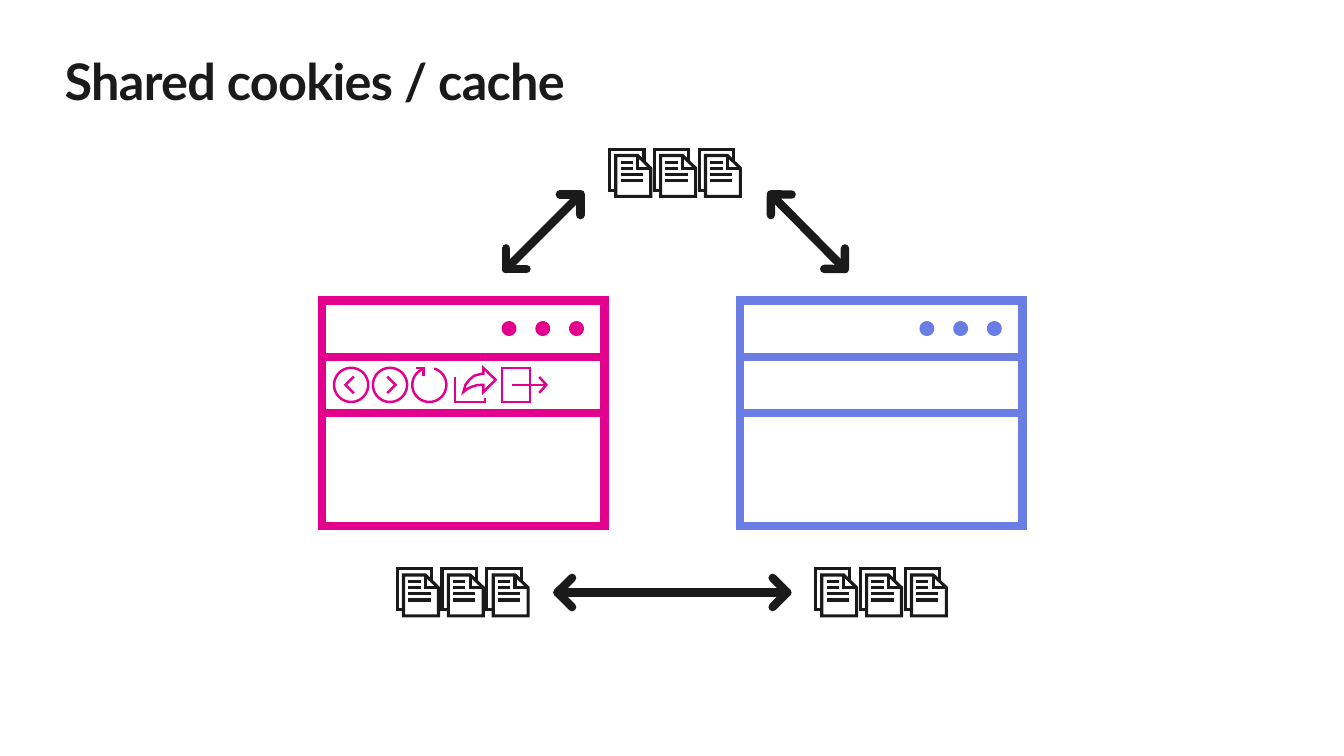
from math import atan2, cos, pi, radians, sin

from lxml.etree import SubElement
from pptx import Presentation
from pptx.dml.color import RGBColor
from pptx.enum.shapes import MSO_CONNECTOR
from pptx.enum.text import MSO_AUTO_SIZE
from pptx.oxml.ns import qn
from pptx.util import Cm, Pt

# Content: all lengths in centimetres
TITLE = "Shared cookies / cache"
INK, PINK, BLUE = "1A1A1A", "E3008C", "697DE4"
BROWSERS = [(8.12, PINK), (18.65, BLUE)]
TOP, WIDE, HIGH, BAR = 7.57, 7.12, 5.69, 1.42
STACKS = [(15.36, 3.76), (10.01, 14.33), (20.55, 14.33)]
PAGES, PAGE_STEP = 3, 1.13
ARROWS = [
    ((12.75, 6.78), (14.63, 4.9)),
    ((21.29, 6.78), (19.43, 4.9)),
    ((14.05, 14.93), (19.84, 14.93)),
]
ARM = 0.52


def arc(x, y, r, start=0, end=360):
    """Points along a circle, clockwise, angles in degrees."""
    turns = [radians(start + (end - start) * i / 48) for i in range(49)]
    return [(x + r * cos(t), y + r * sin(t)) for t in turns]


# Each drawing is a list of (points, closed), relative to its own origin
DOC = [
    ([(0.16, 1.04), (0, 1.04), (0, 0), (0.87, 0), (0.87, 0.33)], False),
    ([(0.71, 0.16), (0.71, 0.48), (1.04, 0.48)], False),
    ([(1.04, 0.48), (0.71, 0.16), (0.16, 0.16), (0.16, 1.19), (1.04, 1.19)], True),
] + [
    ([(0.28, y), (end, y)], False)
    for y, end in [(0.33, 0.59), (0.48, 0.59), (0.63, 0.84), (0.79, 0.84)]
]
RING = (arc(0, 0, 0.43), True)
BACK = [RING, ([(0.07, -0.21), (-0.14, 0), (0.07, 0.21)], False)]
NEXT = [RING, ([(-0.07, -0.21), (0.14, 0), (-0.07, 0.21)], False)]
RELOAD = [
    (arc(0, 0, 0.43, -73, 250), False),
    ([(-0.15, -0.23), (-0.15, -0.43), (-0.33, -0.43)], False),
]
SHARE = [
    ([(-0.3, 0.18), (-0.25, 0), (-0.15, -0.13), (-0.03, -0.23), (0.15, -0.28),
      (0.2, -0.28), (0.2, -0.43), (0.51, -0.13), (0.2, 0.18), (0.2, 0),
      (0.15, 0), (0.03, 0.01), (-0.1, 0.05), (-0.2, 0.1)], True),
    ([(-0.51, -0.2), (-0.51, 0.43), (0.25, 0.43), (0.25, 0.33)], False),
]
LEAVE = [
    ([(-0.31, 0), (0.56, 0)], False),
    ([(0.38, 0.2), (0.56, 0), (0.38, -0.2)], False),
    ([(-0.56, -0.43), (-0.56, 0.43), (0.15, 0.43), (0.15, -0.43)], True),
]
TOOLS = [(8.85, BACK), (9.83, NEXT), (10.82, RELOAD), (11.98, SHARE), (13.21, LEAVE)]
TOOL_Y = 9.7
WINDOW = [
    ([(0, 0), (WIDE, 0), (WIDE, HIGH), (0, HIGH)], True),
    ([(0, BAR), (WIDE, BAR)], False),
] + [(arc(4.71 + 0.85 * i, BAR / 2, 0.08), True) for i in range(3)]


def paint(font_or_fill, color):
    font_or_fill.rgb = RGBColor.from_string(color)


def stroke(shape, color, width, soft):
    """Style the line; soft gives round caps and joins."""
    shape.line.width = Pt(width)
    shape.line.fill.solid()
    paint(shape.line.fill.fore_color, color)
    line = shape.line._get_or_add_ln()
    if soft:
        line.set("cap", "rnd")
        SubElement(line, qn("a:round"))
    else:
        SubElement(line, qn("a:miter")).set("lim", "800000")


def draw(shapes, x, y, parts, color, width, soft=False):
    """Draw all parts as one unfilled outline with its origin at x, y."""
    pen = None
    for points, closed in parts:
        spots = [(Cm(x + dx), Cm(y + dy)) for dx, dy in points]
        if pen is None:
            pen = shapes.build_freeform(*spots[0], scale=1.0)
        else:
            pen.move_to(*spots[0])
        pen.add_line_segments(spots[1:], close=closed)
    shape = pen.convert_to_shape()
    shape.shadow.inherit = False
    shape.fill.background()
    stroke(shape, color, width, soft)


def link(shapes, start, end, color, soft=False):
    line = shapes.add_connector(
        MSO_CONNECTOR.STRAIGHT, *[Cm(v) for v in (*start, *end)])
    stroke(line, color, 6, soft)
    SubElement(line._element.spPr, qn("a:effectLst"))


def head(shapes, tip, tail):
    """Draw an open arrowhead at tip, pointing away from tail."""
    turn = atan2(tail[1] - tip[1], tail[0] - tip[0])
    ends = [(ARM * cos(turn + s * pi / 4), ARM * sin(turn + s * pi / 4)) for s in (-1, 1)]
    draw(shapes, *tip, [([ends[0], (0, 0), ends[1]], False)], INK, 6, True)


def add_title(shapes):
    box = shapes.add_textbox(Cm(1.63), Cm(1.27), Cm(30.61), Cm(1.55))
    frame = box.text_frame
    frame.word_wrap = True
    frame.auto_size = MSO_AUTO_SIZE.SHAPE_TO_FIT_TEXT
    frame.margin_left = frame.margin_right = frame.margin_top = frame.margin_bottom = 0
    run = frame.paragraphs[0].add_run()
    run.text = TITLE
    run.font.name, run.font.size, run.font.bold = "Lato", Pt(36), True
    paint(run.font.color, INK)
    run._r.get_or_add_rPr().set("spc", "-50")


def main():
    deck = Presentation()
    deck.slide_width, deck.slide_height = Cm(33.87), Cm(19.05)
    shapes = deck.slides.add_slide(deck.slide_layouts[6]).shapes
    add_title(shapes)
    for x, color in BROWSERS:
        draw(shapes, x, TOP, WINDOW, color, 6)
        low = TOP + 2 * BAR
        link(shapes, (x, low), (x + WIDE, low), color)
    for x, icon in TOOLS:
        draw(shapes, x, TOOL_Y, icon, PINK, 1.75)
    for x, y in STACKS:
        for i in range(PAGES):
            draw(shapes, x + i * PAGE_STEP, y, DOC, INK, 2.25)
    for start, end in ARROWS:
        link(shapes, start, end, INK, True)
        head(shapes, start, end)
        head(shapes, end, start)
    deck.save("out.pptx")


if __name__ == "__main__":
    main()
